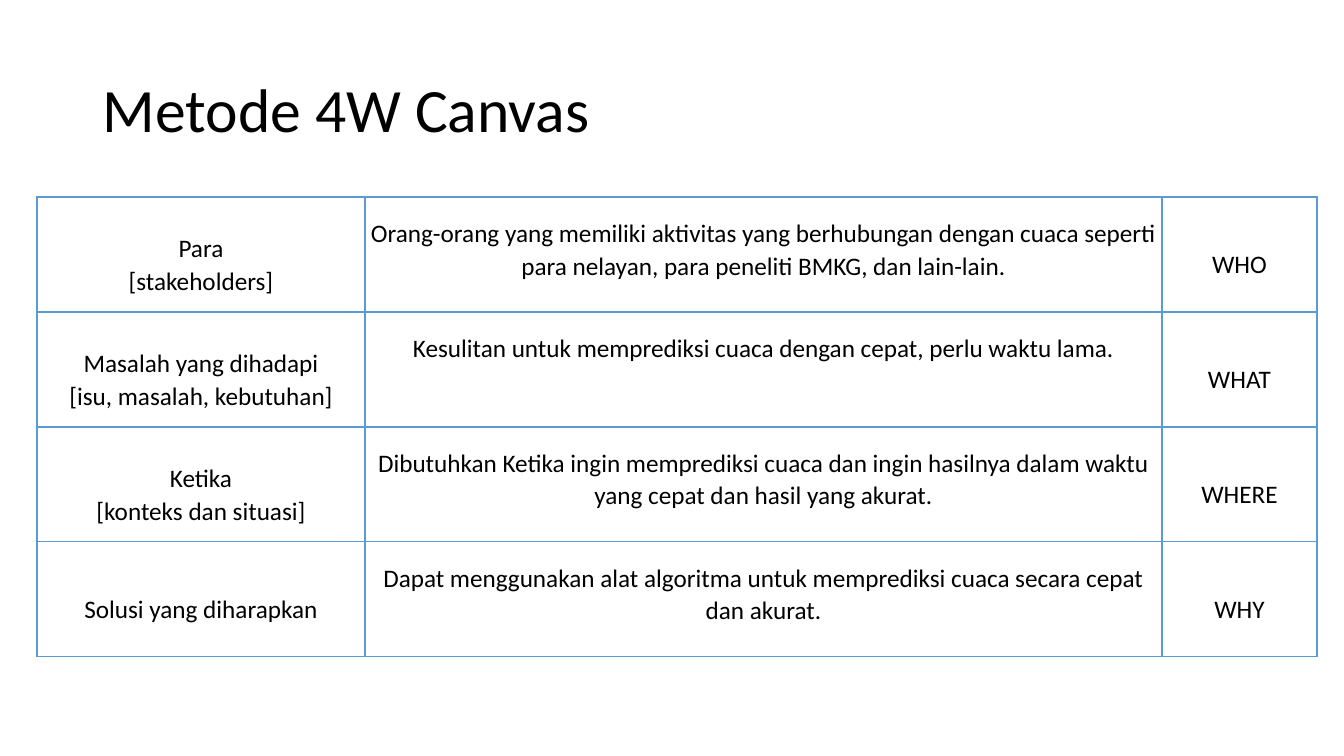
from lxml import etree
from pptx import Presentation
from pptx.dml.color import RGBColor
from pptx.enum.text import MSO_ANCHOR, PP_ALIGN
from pptx.oxml.ns import qn
from pptx.util import Pt

MIDDLE, TOP = MSO_ANCHOR.MIDDLE, MSO_ANCHOR.TOP
LEFT, CENTER = PP_ALIGN.LEFT, PP_ALIGN.CENTER

EMU_PER_PX = 914400 / 100.8
SLIDE_SIZE = (1344, 756)
TITLE_BOX = (93, 40, 1159, 146)
CANVAS_BOX = (37, 197, 1280, 460)
COLUMN_WIDTHS = (328, 797, 155)
COLUMN_ANCHORS = (MIDDLE, TOP, MIDDLE)
CELL_MARGINS = {"margin_left": 1, "margin_top": 19, "margin_right": 1, "margin_bottom": 0}
BORDER_COLOR = "5B9BD5"
BORDER_POINTS = 1
TEXT_COLOR = "000000"
FONT = "Calibri"

CANVAS_ROWS = [
    ("Para\n[stakeholders]",
     "Orang-orang yang memiliki aktivitas yang berhubungan dengan cuaca seperti "
     "para nelayan, para peneliti BMKG, dan lain-lain.",
     "WHO"),
    ("Masalah yang dihadapi\n[isu, masalah, kebutuhan]",
     "Kesulitan untuk memprediksi cuaca dengan cepat, perlu waktu lama.",
     "WHAT"),
    ("Ketika\n[konteks dan situasi]",
     "Dibutuhkan Ketika ingin memprediksi cuaca dan ingin hasilnya dalam waktu "
     "yang cepat dan hasil yang akurat.",
     "WHERE"),
    ("Solusi yang diharapkan",
     "Dapat menggunakan alat algoritma untuk memprediksi cuaca secara cepat "
     "dan akurat.",
     "WHY"),
]


def px(length):
    return round(length * EMU_PER_PX)


def color(hex_string):
    return RGBColor.from_string(hex_string)


def set_attributes(target, values):
    for name, value in values.items():
        setattr(target, name, value)


def write_text(text_frame, text, size, alignment, line_spacing):
    """Fill the first paragraph; a newline becomes a line break inside it."""
    paragraph = text_frame.paragraphs[0]
    paragraph.text = text
    set_attributes(paragraph, {"alignment": alignment, "line_spacing": line_spacing})
    for run in paragraph.runs:
        set_attributes(run.font, {"name": FONT, "size": Pt(size)})
        run.font.color.rgb = color(TEXT_COLOR)


def add_cell_borders(cell):
    properties = cell._tc.get_or_add_tcPr()
    for position, side in enumerate(("a:lnL", "a:lnR", "a:lnT", "a:lnB")):
        line = etree.Element(qn(side), w=str(Pt(BORDER_POINTS)))
        fill = etree.SubElement(line, qn("a:solidFill"))
        etree.SubElement(fill, qn("a:srgbClr"), val=BORDER_COLOR)
        properties.insert(position, line)


def add_title(slide, box):
    text_frame = slide.shapes.add_textbox(*map(px, box)).text_frame
    set_attributes(text_frame, {"word_wrap": True, "vertical_anchor": MIDDLE})
    write_text(text_frame, "Metode 4W Canvas", 44, LEFT, 0.9)


def add_canvas_table(slide, box):
    shape = slide.shapes.add_table(len(CANVAS_ROWS), len(COLUMN_WIDTHS), *map(px, box))
    table = shape.table
    set_attributes(table, {"first_row": False, "horz_banding": False})
    for column, width in zip(table.columns, COLUMN_WIDTHS):
        column.width = px(width)
    for row, texts in zip(table.rows, CANVAS_ROWS):
        for cell, text, anchor in zip(row.cells, texts, COLUMN_ANCHORS):
            set_attributes(cell, {name: px(margin) for name, margin in CELL_MARGINS.items()})
            cell.vertical_anchor = anchor
            cell.fill.background()
            add_cell_borders(cell)
            write_text(cell.text_frame, text, 18, CENTER, 1.07)


def main():
    presentation = Presentation()
    presentation.slide_width, presentation.slide_height = map(px, SLIDE_SIZE)
    slide = presentation.slides.add_slide(presentation.slide_layouts[6])
    add_title(slide, TITLE_BOX)
    add_canvas_table(slide, CANVAS_BOX)
    presentation.save("out.pptx")


if __name__ == "__main__":
    main()
